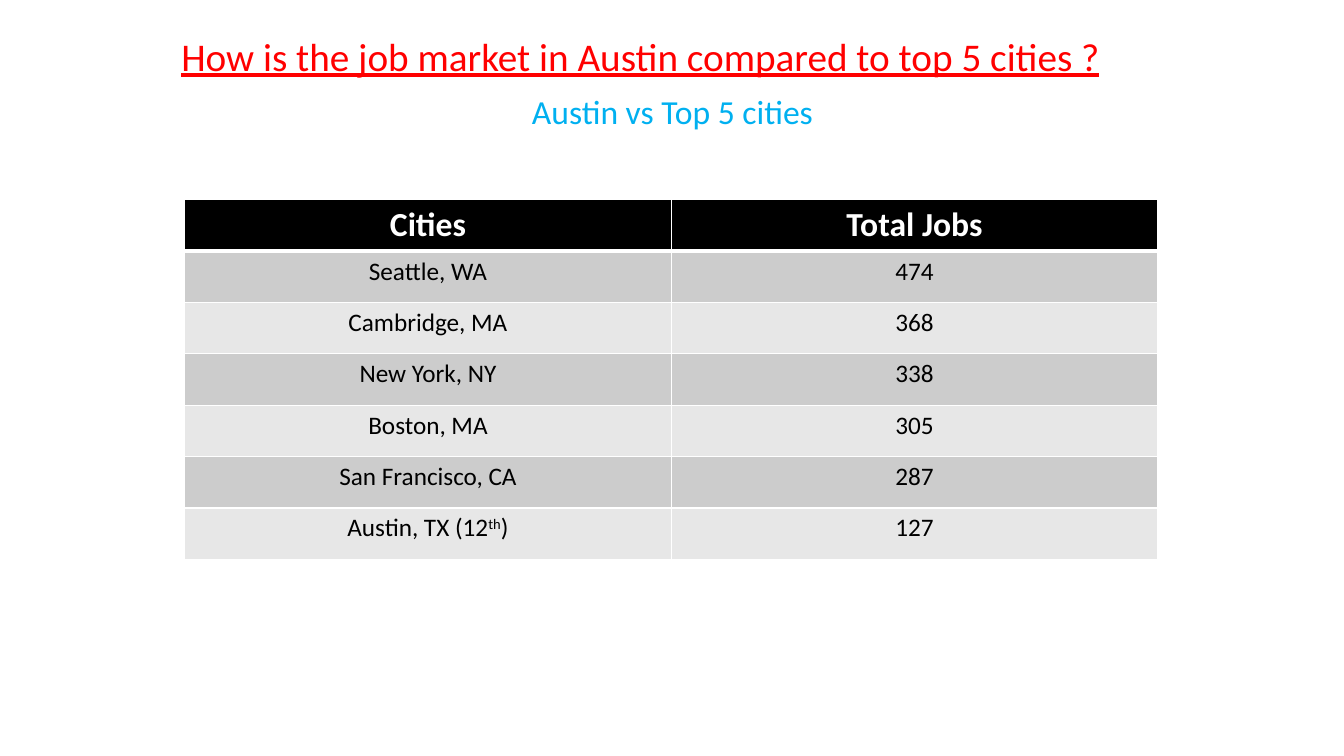
from lxml import etree
from pptx import Presentation
from pptx.dml.color import RGBColor
from pptx.enum.text import MSO_ANCHOR, MSO_AUTO_SIZE, PP_ALIGN
from pptx.oxml.ns import qn
from pptx.util import Inches, Pt

CENTER, LEFT = PP_ALIGN.CENTER, PP_ALIGN.LEFT
MIDDLE, TOP = MSO_ANCHOR.MIDDLE, MSO_ANCHOR.TOP
NO_RESIZE = MSO_AUTO_SIZE.NONE
TITLE_ONLY_LAYOUT = 5

COLORS = {
    "question": "FF0000",
    "title": "00B0F0",
    "white": "FFFFFF",
    "black": "000000",
    "dark_band": "CCCCCC",
    "light_band": "E7E7E7",
}

FORMATS = {
    "question": {"size": Pt(28), "underline": True, "bold": False},
    "title": {"size": Pt(24), "bold": False},
    "header": {"size": Pt(24), "bold": True},
    "body": {"size": Pt(18), "bold": False},
}

HEADERS = ("Cities", "Total Jobs")
CITY_JOBS = (
    ("Seattle, WA", "474"),
    ("Cambridge, MA", "368"),
    ("New York, NY", "338"),
    ("Boston, MA", "305"),
    ("San Francisco, CA", "287"),
    (("Austin, TX (12", "th", ")"), "127"),
)


class SlideBuilder:
    """Hold the slide style and add each kind of element to the current slide."""

    def __init__(self, slide, font_name="Calibri"):
        self.slide = slide
        self.font_name = font_name

    def fill_paragraph(self, frame, content, style, color, alignment):
        """Put runs into the first paragraph, raising every second run."""
        runs = (content,) if isinstance(content, str) else content
        paragraph = frame.paragraphs[0]
        paragraph.alignment = alignment
        for index, text in enumerate(runs):
            run = paragraph.add_run()
            run.text = text
            run.font.name = self.font_name
            run.font.color.rgb = RGBColor.from_string(COLORS[color])
            for name, value in FORMATS[style].items():
                setattr(run.font, name, value)
            if index % 2:
                run.font._element.set("baseline", "30000")
        return paragraph

    def add_title(self, text, left, top, width, height):
        """Place and fill the title placeholder."""
        title = self.slide.shapes.title
        title.left, title.top, title.width, title.height = left, top, width, height
        frame = title.text_frame
        frame.word_wrap = True
        frame.vertical_anchor = MIDDLE
        paragraph = self.fill_paragraph(frame, text, "title", "title", CENTER)
        paragraph.line_spacing = 0.9

    def add_text(self, text, left, top, width, height):
        """Add the question as a wrapped text box."""
        frame = self.slide.shapes.add_textbox(left, top, width, height).text_frame
        frame.word_wrap = True
        frame.auto_size = NO_RESIZE
        self.fill_paragraph(frame, text, "question", "question", LEFT)

    def add_borders(self, cell, widths):
        """Draw white cell borders with the given widths in points."""
        properties = cell._tc.get_or_add_tcPr()
        for side, width in widths.items():
            line = etree.SubElement(properties, qn(f"a:ln{side}"), w=str(Pt(width)))
            fill = etree.SubElement(line, qn("a:solidFill"))
            etree.SubElement(fill, qn("a:srgbClr"), val=COLORS["white"])

    def add_table(self, rows, left, top, column_widths, row_height):
        """Add a table with a black header and banded rows."""
        table = self.slide.shapes.add_table(
            len(rows), len(column_widths), left, top,
            sum(column_widths), row_height * len(rows)).table
        for column, width in zip(table.columns, column_widths):
            column.width = width
        for row_index, values in enumerate(rows):
            table.rows[row_index].height = row_height
            header = row_index == 0
            band = "dark_band" if row_index % 2 else "light_band"
            widths = {"L": 1, "R": 1, "T": 3 if row_index == 1 else 1,
                      "B": 3 if header else 1}
            for column_index, content in enumerate(values):
                cell = table.cell(row_index, column_index)
                cell.vertical_anchor = TOP
                self.add_borders(cell, widths)
                cell.fill.solid()
                cell.fill.fore_color.rgb = RGBColor.from_string(
                    COLORS["black" if header else band])
                self.fill_paragraph(
                    cell.text_frame, content, "header" if header else "body",
                    "white" if header else "black", CENTER)


def main():
    """Build and save the job market slide."""
    presentation = Presentation()
    presentation.slide_width = Inches(13.33)
    presentation.slide_height = Inches(7.5)
    layout = presentation.slide_layouts[TITLE_ONLY_LAYOUT]
    builder = SlideBuilder(presentation.slides.add_slide(layout))
    builder.add_title("Austin vs Top 5 cities",
                      Inches(0.92), Inches(0.4), Inches(11.5), Inches(1.45))
    builder.add_table((HEADERS, *CITY_JOBS), Inches(1.83), Inches(1.98),
                      (Inches(4.83), Inches(4.82)), Inches(0.51))
    builder.add_text("How is the job market in Austin compared to top 5 cities ?",
                     Inches(1.7), Inches(0.27), Inches(10.48), Inches(1.04))
    presentation.save("out.pptx")


if __name__ == "__main__":
    main()
